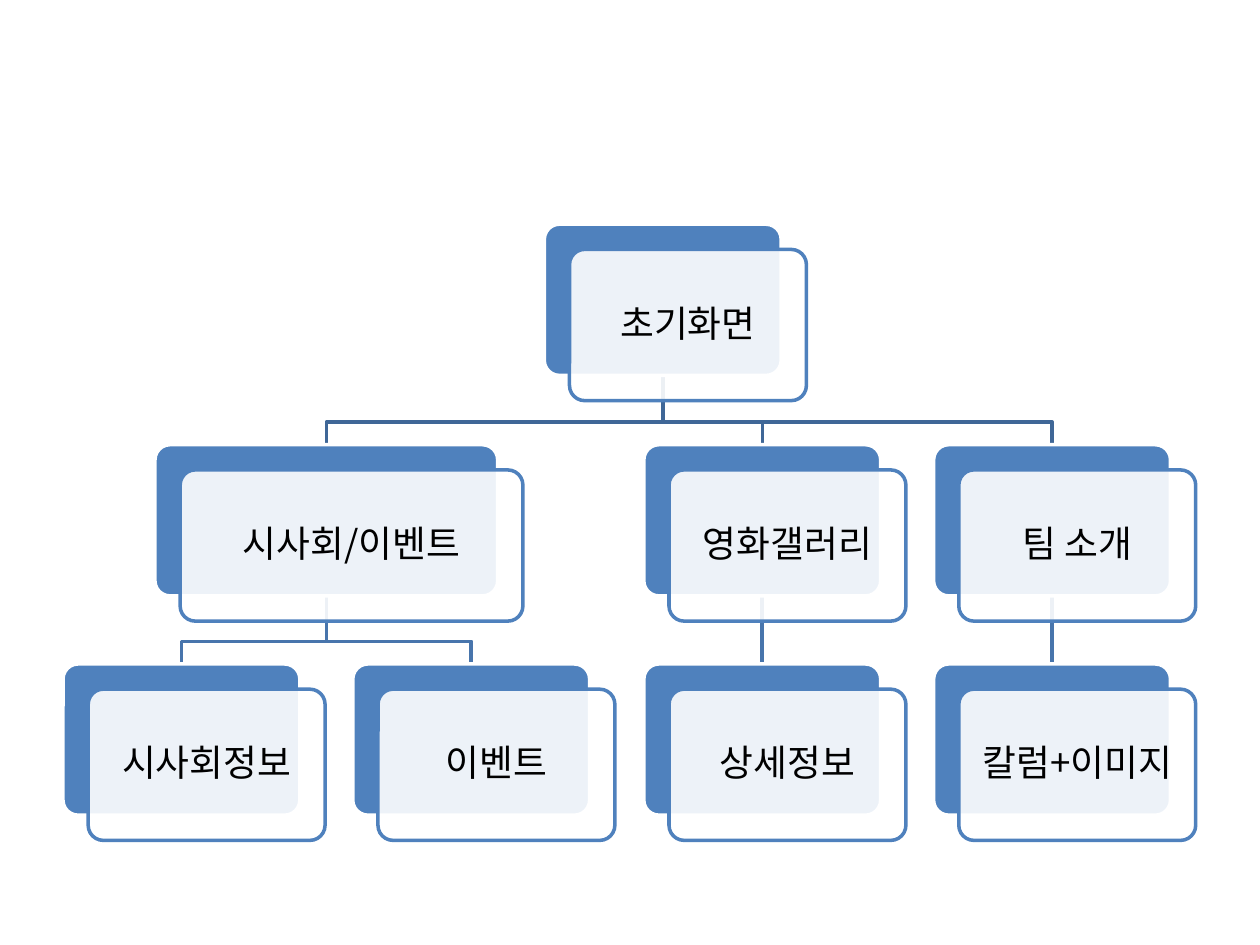
from dataclasses import dataclass
from typing import Any

import pptx
import pptx.dml.color
import pptx.enum.shapes
import pptx.enum.text
import pptx.oxml.ns
import pptx.util
from lxml import etree

Inches = pptx.util.Inches
RGBColor = pptx.dml.color.RGBColor

BLUE = RGBColor(0x4F, 0x81, 0xBD)
UPPER_LINK = RGBColor(0x3F, 0x67, 0x97)
LOWER_LINK = RGBColor(0x48, 0x75, 0xAC)
WHITE = RGBColor(0xFF, 0xFF, 0xFF)
BLACK = RGBColor(0, 0, 0)
FONT = "Noto Sans CJK KR"

ROW_TOPS = (1.78, 3.53, 5.27)
COLUMNS = (1.44, 3.74, 6.05, 8.35)
CARD_WIDTH, CARD_HEIGHT = 1.88, 1.2
CARD_OFFSET = 0.2
TEXT_INSET = 0.04
ELBOW_RISE = 0.18
LINE_WIDTH = pptx.util.Pt(2)

FRAME_FORMAT = {
    "word_wrap": True,
    "vertical_anchor": pptx.enum.text.MSO_ANCHOR.MIDDLE,
    "margin_left": Inches(0.09),
    "margin_right": Inches(0.09),
    "margin_top": Inches(0.09),
    "margin_bottom": Inches(0.09),
}
PARA_FORMAT = {"alignment": pptx.enum.text.PP_ALIGN.CENTER, "line_spacing": 0.9}
FONT_FORMAT = {"name": FONT, "size": pptx.util.Pt(21)}


@dataclass(frozen=True)
class Node:
    label: str
    center: float
    row: int
    parent: str = ""
    width: float = CARD_WIDTH

    @property
    def left(self) -> float:
        return self.center - self.width / 2

    @property
    def top(self) -> float:
        return ROW_TOPS[self.row]


NODES = (
    Node("초기화면", 5.26, 0),
    Node("시사회/이벤트", (COLUMNS[0] + COLUMNS[1]) / 2, 1, "초기화면", 2.72),
    Node("시사회정보", COLUMNS[0], 2, "시사회/이벤트"),
    Node("이벤트", COLUMNS[1], 2, "시사회/이벤트"),
    Node("영화갤러리", COLUMNS[2], 1, "초기화면"),
    Node("상세정보", COLUMNS[2], 2, "영화갤러리"),
    Node("팀 소개", COLUMNS[3], 1, "초기화면"),
    Node("칼럼+이미지", COLUMNS[3], 2, "팀 소개"),
)


def apply_format(target: Any, values: dict[str, Any]) -> None:
    for name, value in values.items():
        setattr(target, name, value)


def add_child(parent: Any, tag: str, **attributes: str) -> None:
    etree.SubElement(parent, pptx.oxml.ns.qn(tag), attributes)


def style_line(line: Any, color: RGBColor) -> None:
    line.width = LINE_WIDTH
    line.color.rgb = color


def draw_card(page: Any, node: Node, offset: float, fill: RGBColor, outline: RGBColor) -> Any:
    card = page.shapes.add_shape(
        pptx.enum.shapes.MSO_SHAPE.ROUNDED_RECTANGLE,
        Inches(node.left + offset), Inches(node.top + offset),
        Inches(node.width), Inches(CARD_HEIGHT),
    )
    card.adjustments[0] = 0.1
    card.shadow.inherit = False
    card.fill.solid()
    card.fill.fore_color.rgb = fill
    style_line(card.line, outline)
    return card


def draw_label(page: Any, node: Node) -> None:
    shift = CARD_OFFSET + TEXT_INSET
    box = page.shapes.add_textbox(
        Inches(node.left + shift), Inches(node.top + shift),
        Inches(node.width - 2 * TEXT_INSET), Inches(CARD_HEIGHT - 2 * TEXT_INSET),
    )
    apply_format(box.text_frame, FRAME_FORMAT)
    para = box.text_frame.paragraphs[0]
    apply_format(para, PARA_FORMAT)
    span = para.add_run()
    span.text = node.label
    apply_format(span.font, FONT_FORMAT)
    span.font.color.rgb = BLACK
    add_child(span.font._element, "a:ea", typeface=FONT)


def draw_node(page: Any, node: Node) -> Any:
    back = draw_card(page, node, 0, BLUE, WHITE)
    front = draw_card(page, node, CARD_OFFSET, WHITE, BLUE)
    color = front.fill._xPr.find(".//" + pptx.oxml.ns.qn("a:srgbClr"))
    add_child(color, "a:alpha", val="90000")
    draw_label(page, node)
    return back


def draw_straight(page: Any, upper_card: Any, lower_card: Any) -> Any:
    link = page.shapes.add_connector(pptx.enum.shapes.MSO_CONNECTOR.STRAIGHT, 0, 0, 0, 0)
    link.begin_connect(upper_card, 2)
    link.end_connect(lower_card, 0)
    return link


def draw_elbow(page: Any, parent: Node, child: Node) -> Any:
    bend = child.top - ELBOW_RISE
    builder = page.shapes.build_freeform(
        Inches(parent.center), Inches(parent.top + CARD_HEIGHT), scale=1.0
    )
    corners = ((parent.center, bend), (child.center, bend), (child.center, child.top))
    builder.add_line_segments([(Inches(x), Inches(y)) for x, y in corners], close=False)
    link = builder.convert_to_shape()
    link.fill.background()
    link.shadow.inherit = False
    return link


def draw_link(page: Any, parent: Node, child: Node, cards: dict[str, Any]) -> None:
    if parent.center == child.center:
        link = draw_straight(page, cards[parent.label], cards[child.label])
    else:
        link = draw_elbow(page, parent, child)
    style_line(link.line, UPPER_LINK if parent.row == 0 else LOWER_LINK)
    if link.shape_type == pptx.enum.shapes.MSO_SHAPE_TYPE.LINE:
        add_child(link._element.spPr, "a:effectLst")
    page.shapes._spTree.insert(2, link._element)


def main() -> None:
    deck = pptx.Presentation()
    apply_format(deck, {"slide_width": Inches(10), "slide_height": Inches(7.5)})
    page = deck.slides.add_slide(deck.slide_layouts[6])
    cards = {node.label: draw_node(page, node) for node in NODES}
    nodes = {node.label: node for node in NODES}
    for node in NODES:
        if node.parent:
            draw_link(page, nodes[node.parent], node, cards)
    deck.save("out.pptx")


if __name__ == "__main__":
    main()
